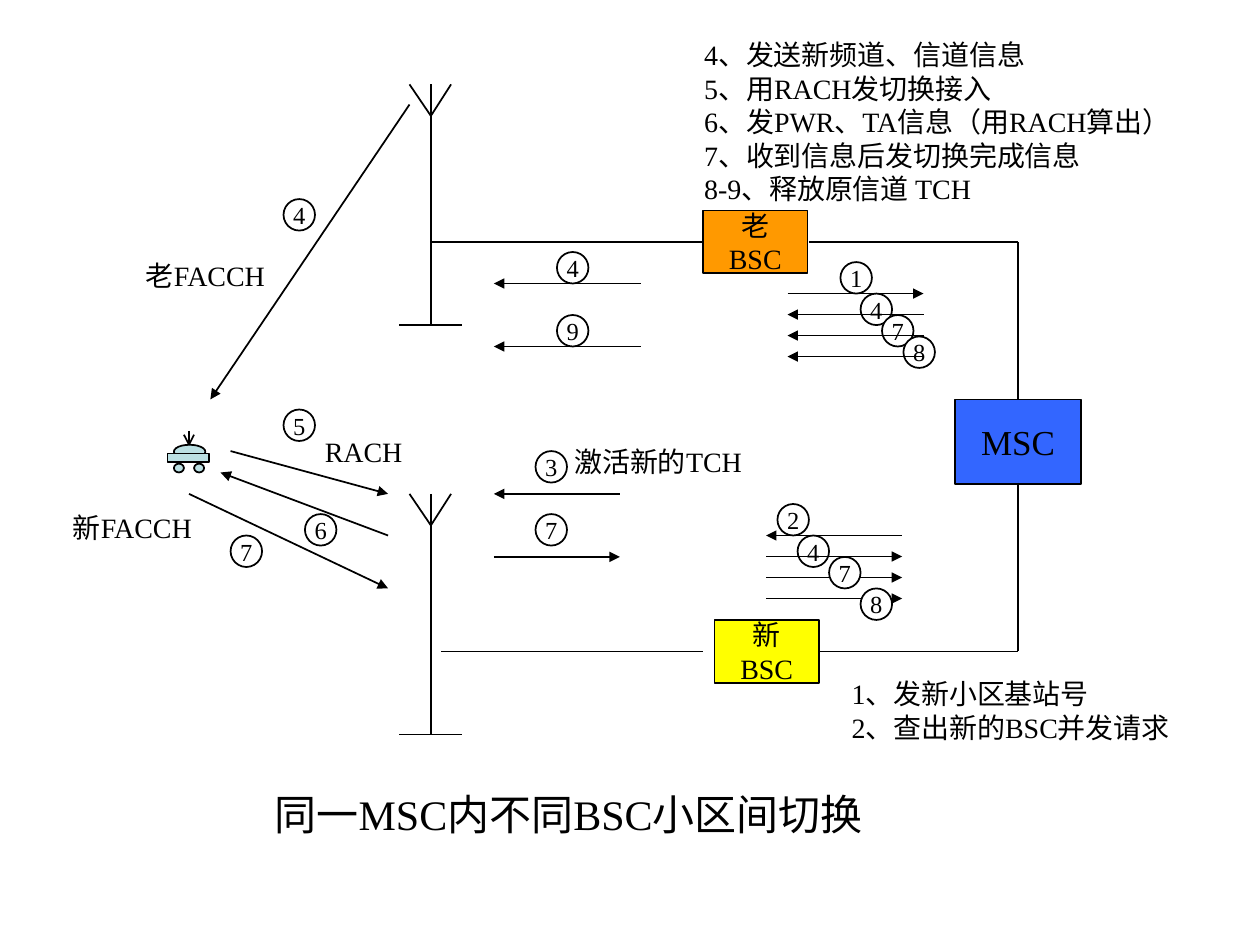
import pptx
import pptx.dml.color
import pptx.enum.shapes
import pptx.enum.text
import pptx.oxml
import pptx.oxml.ns
import pptx.util
from pptx.util import Inches

FONT = "Times New Roman"
RECT = pptx.enum.shapes.MSO_SHAPE.RECTANGLE
OVAL = pptx.enum.shapes.MSO_SHAPE.OVAL
STRAIGHT = pptx.enum.shapes.MSO_CONNECTOR.STRAIGHT
ANCHOR = pptx.enum.text.MSO_ANCHOR
ALIGN = pptx.enum.text.PP_ALIGN
rgb = pptx.dml.color.RGBColor.from_string

prs = pptx.Presentation()
prs.slide_width, prs.slide_height = Inches(10), Inches(7.5)
s = prs.slides.add_slide(prs.slide_layouts[5])


def add_line(x1, y1, x2, y2, arrow=None):
    """Draw a line; arrow is None, "headEnd" (at the start) or "tailEnd"."""
    c = s.shapes.add_connector(STRAIGHT, Inches(x1), Inches(y1), Inches(x2), Inches(y2))
    c.line.color.rgb = rgb("000000")
    c.line.width = pptx.util.Pt(1)
    if arrow:
        end = pptx.oxml.parse_xml(f'<a:{arrow} {pptx.oxml.ns.nsdecls("a")} type="triangle"/>')
        c.line._get_or_add_ln().append(end)
    c._element.spPr.append(pptx.oxml.parse_xml(f'<a:effectLst {pptx.oxml.ns.nsdecls("a")}/>'))


def add_node(kind, x, y, w, h, fill, text="", size=14):
    sp = s.shapes.add_shape(kind, Inches(x), Inches(y), Inches(w), Inches(h))
    sp.shadow.inherit = False
    sp.fill.solid()
    sp.fill.fore_color.rgb = rgb(fill)
    sp.line.color.rgb = rgb("000000")
    sp.line.width = pptx.util.Pt(1)
    if text:
        tf = sp.text_frame
        tf.text = text
        tf.word_wrap = False
        tf.vertical_anchor = ANCHOR.MIDDLE
        for p in tf.paragraphs:
            p.alignment = ALIGN.CENTER
            p.font.name, p.font.size = FONT, pptx.util.Pt(size)
            p.font.color.rgb = rgb("000000")


# Old and new base station antennas
for top in (0.67, 3.92):
    add_line(3.42, top, 3.42, top + 1.91)
    for x in (3.25, 3.58):
        add_line(x, top, 3.42, top + 0.25)
    add_line(3.17, top + 1.91, 3.67, top + 1.91)

# Car with its aerial
for kind, x, y, w, h in [
    (OVAL, 1.38, 3.53, 0.25, 0.11),
    (RECT, 1.33, 3.6, 0.33, 0.07),
    (OVAL, 1.38, 3.68, 0.08, 0.07),
    (OVAL, 1.54, 3.68, 0.08, 0.07),
]:
    add_node(kind, x, y, w, h, "BBE0E3")
for x, y in [(1.5, 3.42), (1.46, 3.45), (1.54, 3.45)]:
    add_line(x, y, 1.5, 3.53)

# Step numbers that lie below the arrows
for step, x, y in [
    ("1", 6.67, 2.08), ("4", 6.83, 2.33), ("7", 7, 2.5), ("8", 7.17, 2.67),
    ("2", 6.17, 4), ("4", 6.33, 4.25), ("3", 4.25, 3.58), ("9", 4.42, 2.5),
    ("4", 4.42, 2), ("4", 2.25, 1.58), ("6", 2.42, 4.08), ("5", 2.25, 3.25),
]:
    add_node(OVAL, x, y, 0.25, 0.25, "FFFFFF", step)

# Controllers, switching centre and the links between them
for x, y, w, h, fill, text, size in [
    (5.58, 1.67, 0.83, 0.5, "FF9900", "老\nBSC", 16),
    (5.67, 4.92, 0.83, 0.5, "FFFF00", "新\nBSC", 16),
    (7.58, 3.17, 1, 0.67, "3366FF", "MSC", 20),
]:
    add_node(RECT, x, y, w, h, fill, text, size)
for x1, y1, x2, y2 in [
    (3.42, 1.92, 5.58, 1.92), (6.42, 1.92, 8.08, 1.92), (8.08, 1.92, 8.08, 3.17),
    (3.5, 5.17, 5.58, 5.17), (6.5, 5.17, 8.08, 5.17), (8.08, 3.83, 8.08, 5.17),
]:
    add_line(x1, y1, x2, y2)

# Signalling between controllers and switching centre: the first one runs opposite
for x, top, first, others in [
    (6.25, 2.33, "tailEnd", "headEnd"),
    (6.08, 4.25, "headEnd", "tailEnd"),
]:
    for i in range(4):
        y = top + i / 6
        add_line(x, y, x + 1.08, y, others if i else first)

# Signalling between antennas and controllers
for y, length, arrow in [
    (2.25, 1.17, "headEnd"), (2.75, 1.17, "headEnd"),
    (3.92, 1, "headEnd"), (4.42, 1, "tailEnd"),
]:
    add_line(3.92, y, 3.92 + length, y, arrow)

# Radio signalling between car and antennas
for x1, y1, x2, y2, arrow in [
    (3.25, 0.83, 1.67, 3.17, "tailEnd"),
    (1.83, 3.58, 3.08, 3.92, "tailEnd"),
    (1.75, 3.75, 3.08, 4.25, "headEnd"),
    (1.5, 3.92, 3.08, 4.67, "tailEnd"),
]:
    add_line(x1, y1, x2, y2, arrow)

# Step numbers that lie above the arrows
for step, x, y in [("7", 1.83, 4.25), ("7", 4.25, 4.08), ("7", 6.58, 4.42), ("8", 6.83, 4.67)]:
    add_node(OVAL, x, y, 0.25, 0.25, "FFFFFF", step)

# Title, step explanations and channel labels, each wide enough for its longest line
title = "同一MSC内不同BSC小区间切换"
old_steps = """4、发送新频道、信道信息
5、用RACH发切换接入
6、发PWR、TA信息（用RACH算出）
7、收到信息后发切换完成信息
8-9、释放原信道 TCH"""
new_steps = "1、发新小区基站号\n2、查出新的BSC并发请求"
for x, y, w, h, text in [
    (2.08, 6.21, 5.25, 0.5, title),
    (5.49, 0.25, 4.35, 1.44, old_steps),
    (1.06, 2, 1.25, 0.37, "老FACCH"),
    (2.48, 3.4, 0.87, 0.37, "RACH"),
    (0.48, 4, 1.25, 0.37, "新FACCH"),
    (4.46, 3.48, 1.63, 0.37, "激活新的TCH"),
    (6.66, 5.32, 2.95, 0.64, new_steps),
]:
    box = {"left": Inches(x), "top": Inches(y), "width": Inches(w), "height": Inches(h)}
    sp = s.shapes.title if text == title else s.shapes.add_textbox(*box.values())
    for name, value in box.items():
        setattr(sp, name, value)
    tf = sp.text_frame
    tf.text = text
    tf.word_wrap = False
    tf.auto_size = pptx.enum.text.MSO_AUTO_SIZE.SHAPE_TO_FIT_TEXT
    tf.vertical_anchor = ANCHOR.TOP
    for p in tf.paragraphs:
        p.alignment = ALIGN.LEFT
        p.font.name = FONT
        p.font.size = pptx.util.Pt(24 if text == title else 16)
        p.font.color.rgb = rgb("000000")

prs.save("out.pptx")
